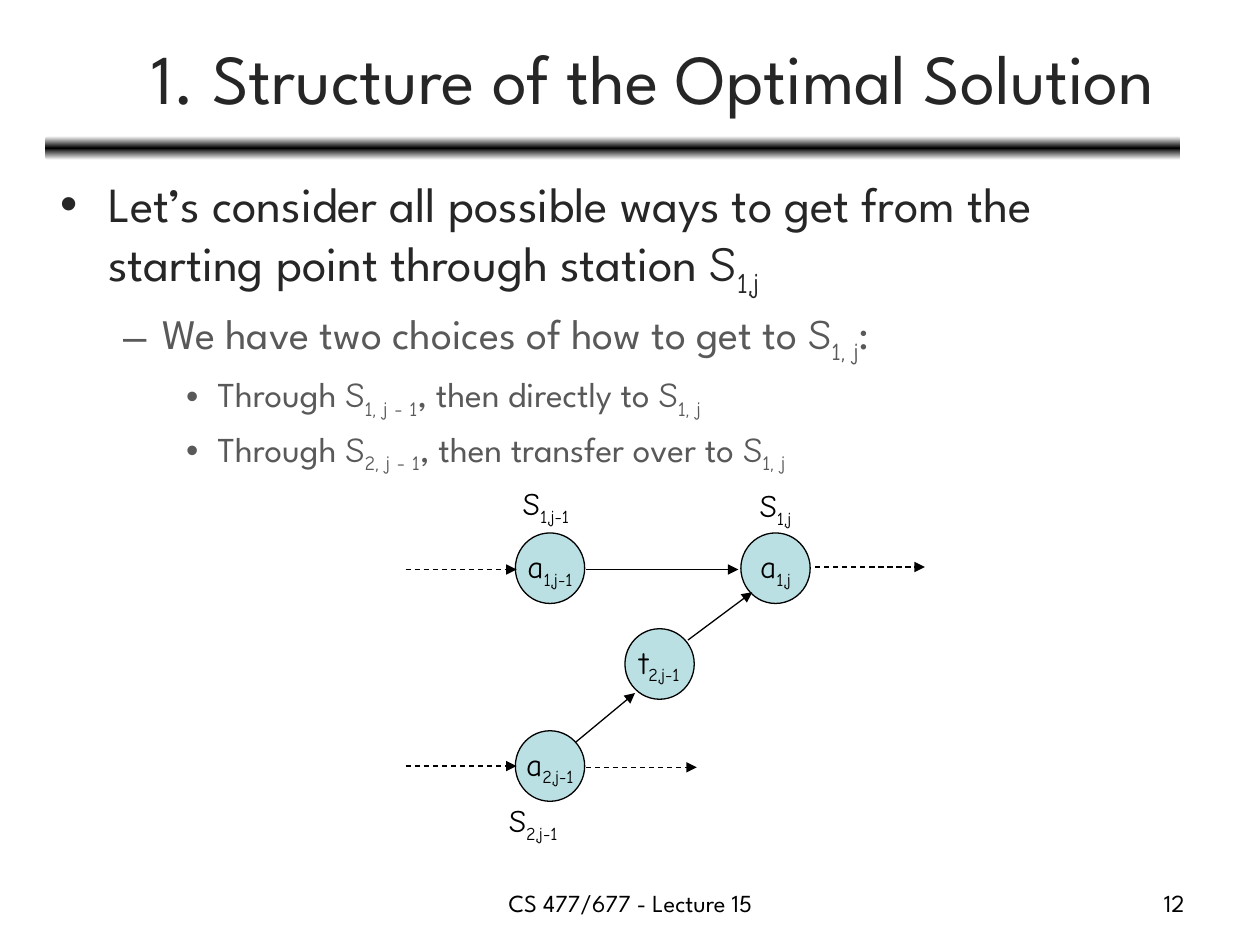
"""Builds the lecture slide on the structure of the optimal assembly-line solution."""
from lxml.etree import SubElement
from pptx import Presentation
from pptx.dml.color import RGBColor
from pptx.enum.dml import MSO_LINE
from pptx.enum.shapes import MSO_CONNECTOR, MSO_SHAPE
from pptx.enum.text import MSO_ANCHOR, MSO_AUTO_SIZE, PP_ALIGN
from pptx.oxml.ns import qn
from pptx.util import Pt

PX = 9144
BLACK = RGBColor(0x00, 0x00, 0x00)
WHITE = RGBColor(0xFF, 0xFF, 0xFF)
DARK = RGBColor(0x26, 0x26, 0x26)
GRAY = RGBColor(0x59, 0x59, 0x59)
AQUA = RGBColor(0xBB, 0xE0, 0xE3)
TEXT_FONT = "League Spartan"
SYMBOL_FONT = "Comic Neue"


def write(paragraph, text, size, color):
    """Writes text in which |S_1,j| stands for a symbol with a subscript."""
    for index, part in enumerate(text.split("|")):
        for level, piece in enumerate(part.split("_")):
            if piece:
                run = paragraph.add_run()
                run.text = piece
                run.font.size = Pt(size)
                run.font.color.rgb = color
                run.font.name = SYMBOL_FONT if index % 2 else TEXT_FONT
                if level:
                    run.font._element.set("baseline", "-25000")


def add_text(left, top, width, height, text, size, color, align, wrap=True):
    """Adds a one-paragraph text box and returns its text frame."""
    frame = slide.shapes.add_textbox(left * PX, top * PX, width * PX, height * PX).text_frame
    frame.word_wrap = wrap
    frame.paragraphs[0].alignment = align
    write(frame.paragraphs[0], text, size, color)
    return frame


prs = Presentation()
prs.slide_width, prs.slide_height = 1000 * PX, 750 * PX
slide = prs.slides.add_slide(prs.slide_layouts[6])

rule = slide.shapes.add_shape(MSO_SHAPE.ROUNDED_RECTANGLE, 36 * PX, 108 * PX, 901 * PX, 19 * PX)
rule.shadow.inherit = False
rule.line.fill.background()
rule.fill.gradient()
rule.fill.gradient_angle = 90
stops = rule.fill._fill._gradFill.find(qn("a:gsLst"))
for stop in list(stops):
    stops.remove(stop)
for position, color in ((0, WHITE), (50000, BLACK), (100000, WHITE)):
    stop = SubElement(stops, qn("a:gs"), pos=str(position))
    SubElement(stop, qn("a:srgbClr"), val=str(color))

title = add_text(37, 11, 963, 99, "1. Structure of the Optimal Solution", 40, DARK, PP_ALIGN.CENTER)
title.vertical_anchor = MSO_ANCHOR.MIDDLE

points = [
    (0, "•", 38, 38, 28, DARK,
     "Let’s consider all possible ways to get from the starting point through station |S_1,j|"),
    (1, "–", 81, 31, 24, GRAY, "We have two choices of how to get to |S_1, j|:"),
    (2, "•", 125, 25, 20, GRAY, "Through |S_1, j - 1|, then directly to |S_1, j|"),
    (2, "•", 125, 25, 20, GRAY, "Through |S_2, j - 1|, then transfer over to |S_1, j|"),
]
body = slide.shapes.add_textbox(38 * PX, 133 * PX, 906 * PX, 555 * PX).text_frame
body.word_wrap = True
for index, (level, bullet, margin, hanging, size, color, text) in enumerate(points):
    paragraph = body.add_paragraph() if index else body.paragraphs[0]
    paragraph.level = level
    if index:
        paragraph.space_before = Pt(size * 0.2)
    properties = paragraph._p.get_or_add_pPr()
    properties.set("marL", str(margin * PX))
    properties.set("indent", str(-hanging * PX))
    SubElement(properties, qn("a:buFont"), typeface="Arial")
    SubElement(properties, qn("a:buChar"), char=bullet)
    write(paragraph, text, size, color)

stations = [(588, 423, "|a_1,j|"), (409, 423, "|a_1,j-1|"), (409, 580, "|a_2,j-1|"), (496, 499, "|t_2,j-1|")]
for left, top, cost in stations:
    station = slide.shapes.add_shape(MSO_SHAPE.OVAL, left * PX, top * PX, 55 * PX, 56 * PX)
    station.shadow.inherit = False
    station.fill.solid()
    station.fill.fore_color.rgb = AQUA
    station.line.color.rgb = BLACK
    station.line.width = Pt(0.75)
    station.text_frame.word_wrap = False
    station.text_frame.vertical_anchor = MSO_ANCHOR.MIDDLE
    station.text_frame.paragraphs[0].alignment = PP_ALIGN.CENTER
    write(station.text_frame.paragraphs[0], cost, 18, BLACK)

for left, top, width, name in ((593, 381, 56, "|S_1,j|"), (405, 379, 71, "|S_1,j-1|"), (394, 631, 74, "|S_2,j-1|")):
    label = add_text(left, top, width, 40, name, 18, BLACK, PP_ALIGN.LEFT, wrap=False)
    label.auto_size = MSO_AUTO_SIZE.SHAPE_TO_FIT_TEXT

arrows = [
    (322, 452, 410, 452, True),
    (322, 608, 410, 608, True),
    (465, 452, 586, 452, False),
    (457, 589, 504, 550, False),
    (546, 508, 597, 470, False),
    (647, 450, 734, 450, True),
    (465, 609, 553, 609, True),
]
for x1, y1, x2, y2, dashed in arrows:
    arrow = slide.shapes.add_connector(MSO_CONNECTOR.STRAIGHT, x1 * PX, y1 * PX, x2 * PX, y2 * PX)
    arrow.line.color.rgb = BLACK
    arrow.line.width = Pt(0.75)
    if dashed:
        arrow.line.dash_style = MSO_LINE.DASH
    SubElement(arrow.line._get_or_add_ln(), qn("a:tailEnd"), type="triangle")
    SubElement(arrow._element.spPr, qn("a:effectLst"))

add_text(342, 700, 317, 35, "CS 477/677 - Lecture 15", 14, BLACK, PP_ALIGN.CENTER)
add_text(717, 700, 233, 35, "12", 14, BLACK, PP_ALIGN.RIGHT)

prs.save("out.pptx")
